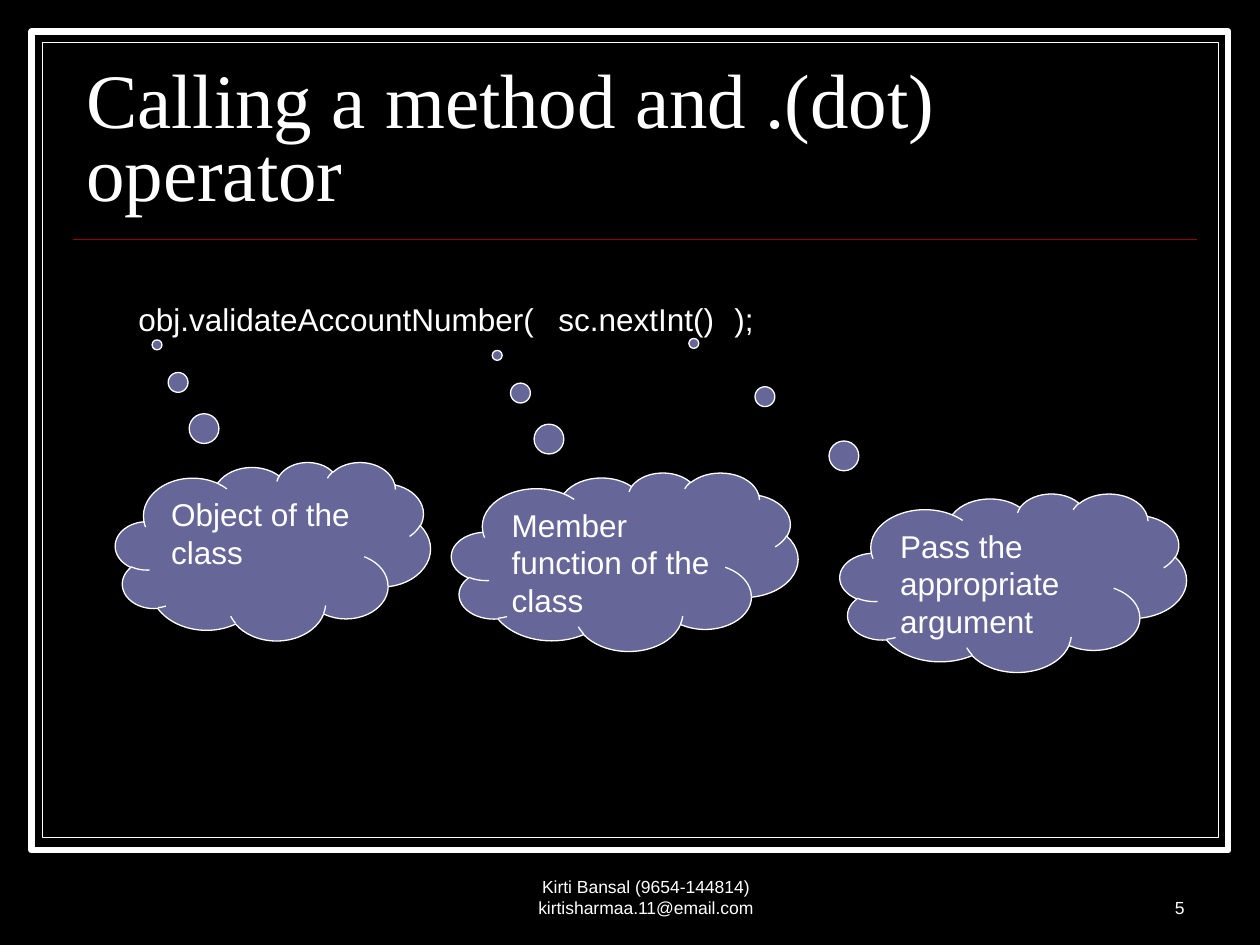
from dataclasses import dataclass

import pptx
import pptx.dml.color
import pptx.enum.shapes
import pptx.enum.text
import pptx.oxml.ns
import pptx.util
from lxml import etree

COLORS = {"paper": "000000", "ink": "FFFFFF", "cloud": "666699", "rule": "990000"}
COLUMNS, ROWS = 120, 90
SHAPES = pptx.enum.shapes.MSO_SHAPE
ANCHOR = pptx.enum.text.MSO_ANCHOR
ALIGN = pptx.enum.text.PP_ALIGN
qn = pptx.oxml.ns.qn

prs = pptx.Presentation()
prs.slide_width = pptx.util.Inches(10)
prs.slide_height = pptx.util.Inches(7.5)


@dataclass
class Area:
    col: float
    row: float
    cols: float
    rows: float

    def box(self) -> tuple[int, int, int, int]:
        dx, dy = prs.slide_width / COLUMNS, prs.slide_height / ROWS
        return (int(self.col * dx), int(self.row * dy),
                int(self.cols * dx), int(self.rows * dy))


@dataclass
class Frame:
    area: Area
    weight: float


@dataclass
class Cloud:
    text: str
    area: Area
    tail: tuple[float, float]


@dataclass
class Label:
    text: str
    area: Area
    size: float = 18
    align: ALIGN = ALIGN.LEFT
    anchor: ANCHOR = ANCHOR.TOP
    tab: float | None = None


FRAMES = [Frame(Area(3, 3, 114, 78), 3.5), Frame(Area(4.05, 4.05, 112, 75.7), 0.75)]
TITLE = Area(7, 6.25, 107, 15)
RULE = Area(7, 22.8, 107, 0)
LABELS = [
    Label("Kirti Bansal (9654-144814) kirtisharmaa.11@email.com",
          Area(42.5, 82, 38, 6), 10, ALIGN.CENTER, ANCHOR.BOTTOM),
    Label("5", Area(89, 82, 25, 6), 10, ALIGN.RIGHT, ANCHOR.BOTTOM),
    Label("obj.validateAccountNumber(\t);", Area(12, 28, 61.7, 4.8), tab=4.73),
    Label("sc.nextInt()", Area(52, 28, 17.4, 4.8)),
]
CLOUDS = [
    Cloud("Object of the class", Area(11, 44, 30, 17), (-0.368, -1.156)),
    Cloud("Member function of the class", Area(43, 45, 33, 17), (-0.368, -1.156)),
    Cloud("Pass the appropriate argument", Area(80, 47, 33, 17), (-0.922, -1.341)),
]


def rgb(name: str) -> pptx.dml.color.RGBColor:
    return pptx.dml.color.RGBColor.from_string(COLORS[name])


def write(sp, text: str, *, size: float = 18, font: str = "Arial", align=ALIGN.LEFT,
          anchor=ANCHOR.TOP, spacing: float = 1.0, tab: float | None = None) -> None:
    tf = sp.text_frame
    tf.word_wrap = True
    tf.auto_size = pptx.enum.text.MSO_AUTO_SIZE.NONE
    tf.vertical_anchor = anchor
    p = tf.paragraphs[0]
    p.alignment = align
    p.line_spacing = spacing
    if tab is not None:
        tabs = etree.SubElement(p._p.get_or_add_pPr(), qn("a:tabLst"))
        etree.SubElement(tabs, qn("a:tab"), pos=str(pptx.util.Inches(tab)), algn="l")
    r = p.add_run()
    r.text = text
    r.font.size = pptx.util.Pt(size)
    r.font.name = font
    r.font.color.rgb = rgb("ink")


def add_outlined(slide, kind, area: Area, fill: str, weight: float):
    sp = slide.shapes.add_shape(kind, *area.box())
    sp.shadow.inherit = False
    sp.fill.solid()
    sp.fill.fore_color.rgb = rgb(fill)
    sp.line.color.rgb = rgb("ink")
    sp.line.width = pptx.util.Pt(weight)
    return sp


def add_rule(slide, area: Area) -> None:
    x, y, w, h = area.box()
    line = slide.shapes.add_connector(
        pptx.enum.shapes.MSO_CONNECTOR.STRAIGHT, x, y, x + w, y + h)
    line.line.color.rgb = rgb("rule")
    line.line.width = pptx.util.Pt(1)
    etree.SubElement(line._element.spPr, qn("a:effectLst"))


def add_title(slide, text: str, area: Area) -> None:
    sp = slide.shapes.title
    sp.left, sp.top, sp.width, sp.height = area.box()
    write(sp, text, size=44, font="Times New Roman", anchor=ANCHOR.BOTTOM, spacing=0.8)
    slide.shapes._spTree.append(sp._element)


def add_label(slide, label: Label) -> None:
    sp = slide.shapes.add_textbox(*label.area.box())
    write(sp, label.text, size=label.size, align=label.align,
          anchor=label.anchor, tab=label.tab)


def add_cloud(slide, cloud: Cloud) -> None:
    sp = add_outlined(slide, SHAPES.CLOUD_CALLOUT, cloud.area, "cloud", 0.75)
    sp.adjustments[0], sp.adjustments[1] = cloud.tail
    write(sp, cloud.text)


def main() -> None:
    slide = prs.slides.add_slide(prs.slide_layouts[5])
    slide.background.fill.solid()
    slide.background.fill.fore_color.rgb = rgb("paper")
    for frame in FRAMES:
        add_outlined(slide, SHAPES.RECTANGLE, frame.area, "paper", frame.weight)
    add_rule(slide, RULE)
    add_title(slide, "Calling a method and .(dot) operator", TITLE)
    for label in LABELS:
        add_label(slide, label)
    for cloud in CLOUDS:
        add_cloud(slide, cloud)
    prs.save("out.pptx")


if __name__ == "__main__":
    main()
